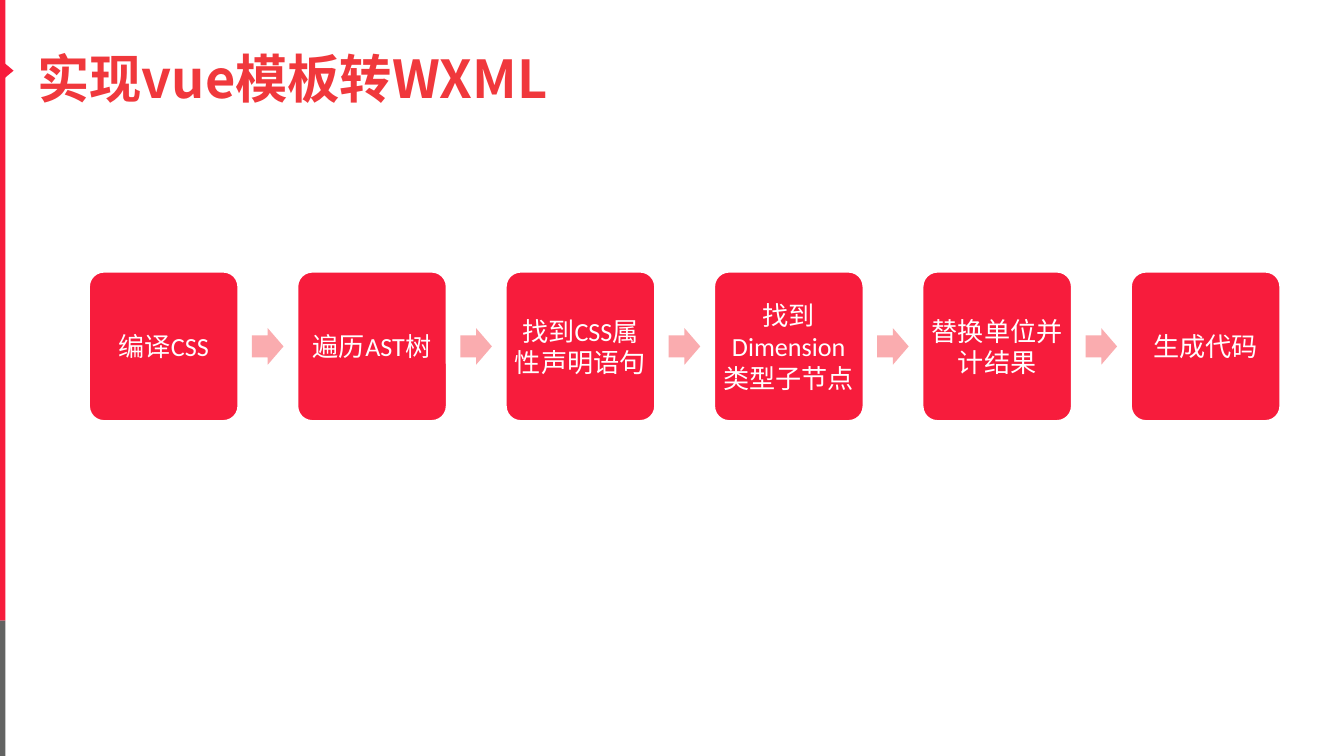
from dataclasses import dataclass
from lxml.etree import SubElement
from pptx import Presentation
from pptx.dml.color import RGBColor
from pptx.enum.shapes import MSO_SHAPE
from pptx.enum.text import MSO_ANCHOR, PP_ALIGN
from pptx.oxml.ns import qn
from pptx.util import Pt


@dataclass(frozen=True)
class Theme:
    red: str = "F71C3C"
    title: str = "F0383C"
    pink: str = "FAACAF"
    gray: str = "626362"
    white: str = "FFFFFF"
    head: int = 28
    body: int = 14
    bold: str = "Noto Sans CJK SC"
    font: str = "Calibri"


def write(frame, text, size, color, font, bold=False, east=None,
          align=PP_ALIGN.LEFT, space=None, after=0, inset=(7.2, 3.6)):
    frame.word_wrap = True
    frame.vertical_anchor = MSO_ANCHOR.MIDDLE
    frame.margin_left = frame.margin_right = Pt(inset[0])
    frame.margin_top = frame.margin_bottom = Pt(inset[1])
    para = frame.paragraphs[0]
    para.alignment = align
    para.space_after = Pt(after)
    if space:
        para.line_spacing = space
    run = para.add_run()
    run.text = text
    run.font.size = Pt(size)
    run.font.bold = bold
    run.font.name = font
    run.font.color.rgb = RGBColor.from_string(color)
    if east:
        SubElement(run.font._element, qn("a:ea")).set("typeface", east)


class Deck:
    def __init__(self, slide, theme):
        self.slide = slide
        self.theme = theme

    def shape(self, kind, x, y, w, h, fill, adjust=()):
        item = self.slide.shapes.add_shape(kind, Pt(x), Pt(y), Pt(w), Pt(h))
        item.shadow.inherit = False
        item.fill.solid()
        item.fill.fore_color.rgb = RGBColor.from_string(fill)
        item.line.fill.background()
        for i, value in enumerate(adjust):
            item.adjustments[i] = value
        return item

    def title(self, text, x, y, w, h):
        box = self.slide.shapes.add_textbox(Pt(x), Pt(y), Pt(w), Pt(h))
        look = self.theme
        write(box.text_frame, text, look.head, look.title, look.bold,
              bold=True, east=look.bold, space=0.9)

    def step(self, text, x, y, w, h):
        look = self.theme
        box = self.shape(MSO_SHAPE.ROUNDED_RECTANGLE, x, y, w, h, look.red, (0.1,))
        box.line.color.rgb = RGBColor.from_string(look.white)
        box.line.width = Pt(1)
        write(box.text_frame, text, look.body, look.white, look.font,
              align=PP_ALIGN.CENTER, after=4.9, inset=(2, 2))

    def arrow(self, x, y, w, h):
        self.shape(MSO_SHAPE.RIGHT_ARROW, x, y, w, h, self.theme.pink, (0.6, 0.5))

    def edge(self, width, split, height):
        look = self.theme
        self.shape(MSO_SHAPE.RECTANGLE, 0, 0, width, split, look.red)
        self.shape(MSO_SHAPE.RECTANGLE, 0, split, width, height - split, look.gray)
        mark = self.shape(MSO_SHAPE.ISOSCELES_TRIANGLE, -1.4, 34.6, 10.8, 6.5, look.red)
        mark.rotation = 90


def main():
    show = Presentation()
    show.slide_width, show.slide_height = Pt(720), Pt(405)
    deck = Deck(show.slides.add_slide(show.slide_layouts[6]), Theme())
    deck.edge(2.9, 332.5, 405)
    deck.title("实现vue模板转WXML", 13, 1.4, 672.5, 84.2)

    steps = ("编译CSS", "遍历AST树", "找到CSS属性声明语句",
             "找到Dimension类型子节点", "替换单位并计结果", "生成代码")
    left, top, side, pitch = 47.7, 145.6, 80, 111.64
    wide, high = 16.9, 19.6
    for i, text in enumerate(steps):
        x = left + i * pitch
        deck.step(text, x, top, side, side)
        if i < len(steps) - 1:
            deck.arrow(x + side + 7.3, top + (side - high) / 2, wide, high)
    show.save("out.pptx")


if __name__ == "__main__":
    main()
